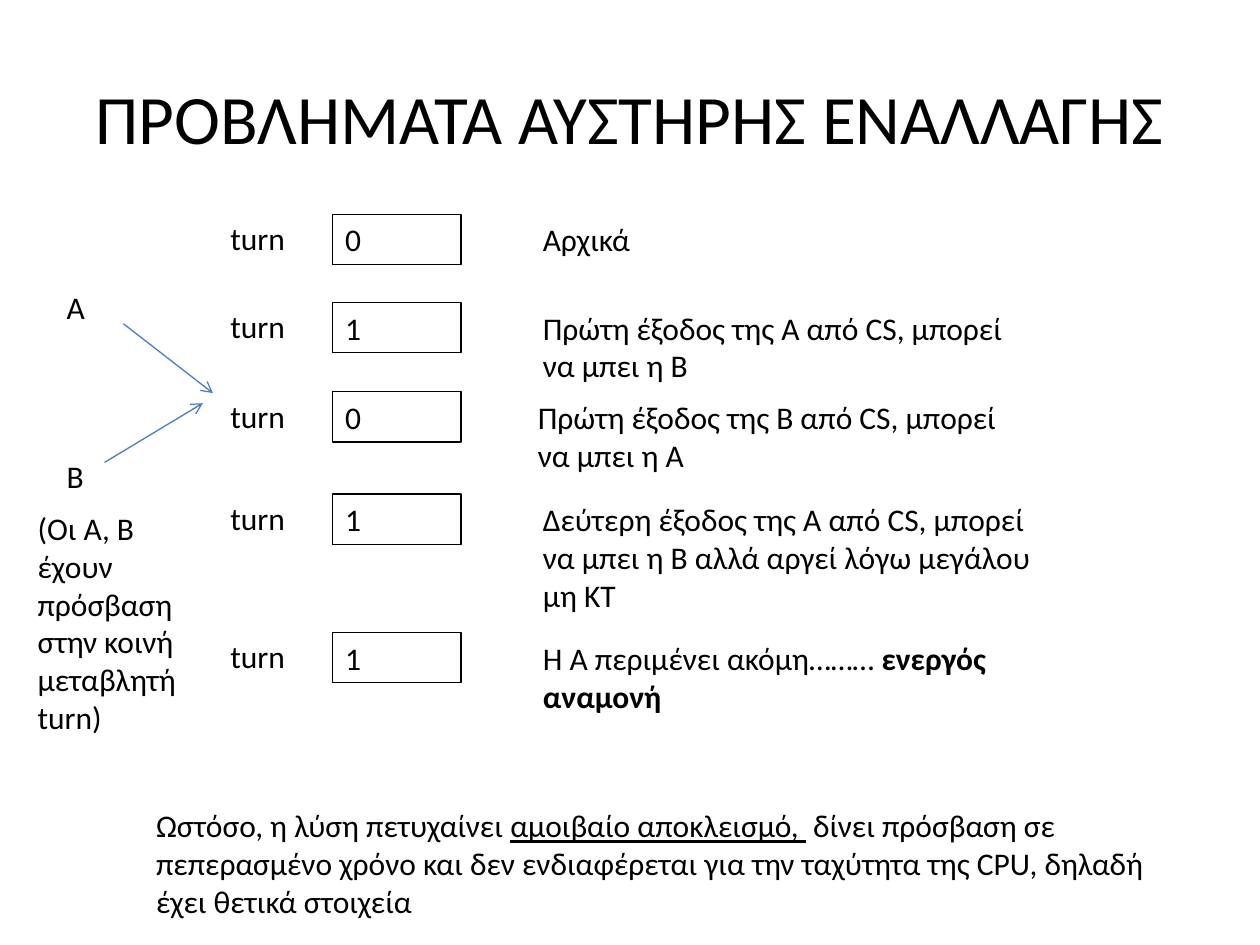
from lxml import etree
from pptx import Presentation
from pptx.dml.color import RGBColor
from pptx.enum.shapes import MSO_CONNECTOR
from pptx.enum.text import MSO_ANCHOR, MSO_AUTO_SIZE, PP_ALIGN
from pptx.oxml.ns import qn
from pptx.util import Inches, Pt

STRAIGHT = MSO_CONNECTOR.STRAIGHT
MIDDLE = MSO_ANCHOR.MIDDLE
CENTER = PP_ALIGN.CENTER
GROW = MSO_AUTO_SIZE.SHAPE_TO_FIT_TEXT

BLACK = RGBColor(0x00, 0x00, 0x00)
BLUE = RGBColor(0x4B, 0x7E, 0xBC)
FONT = "Calibri"
LINE_HEIGHT = 0.4

# Top, value of turn, description (left, width, height, plain text, bold text)
STEPS = [
    (1.70, "0", 4.21, 2.2, 0.4, "Αρχικά", ""),
    (2.40, "1", 4.21, 4.09, 0.71,
     "Πρώτη έξοδος της Α από CS, μπορεί να μπει η Β", ""),
    (3.11, "0", 4.17, 4.09, 0.71,
     "Πρώτη έξοδος της Β από CS, μπορεί να μπει η Α", ""),
    (3.92, "1", 4.21, 4.09, 1.01,
     "Δεύτερη έξοδος της Α από CS, μπορεί να μπει η Β αλλά αργεί λόγω "
     "μεγάλου μη ΚΤ", ""),
    (5.02, "1", 4.21, 4.09, 0.71,
     "Η Α περιμένει ακόμη……… ", "ενεργός αναμονή"),
]


def style_paragraph(para, size):
    para.font.name = FONT
    para.font.size = Pt(size)
    para.font.color.rgb = BLACK


def add_title(page, text):
    title = page.shapes.title
    title.left, title.top = Inches(0.5), Inches(0.3)
    title.width, title.height = Inches(9), Inches(1.25)
    title.text_frame.text = text
    title.text_frame.vertical_anchor = MIDDLE
    para = title.text_frame.paragraphs[0]
    para.alignment = CENTER
    style_paragraph(para, 39.6)


def add_text(page, left, top, width, height, *texts):
    """Add a wrapped text box with one run per text."""
    box = page.shapes.add_textbox(
        Inches(left), Inches(top), Inches(width), Inches(height))
    box.text_frame.word_wrap = True
    box.text_frame.auto_size = GROW
    para = box.text_frame.paragraphs[0]
    style_paragraph(para, 18)
    for text in texts:
        para.add_run().text = text
    return box


def add_step(page, top, value, left, width, height, plain, bold):
    """Add one state of the turn variable with its description."""
    cell = add_text(page, 2.64, top, 1.02, LINE_HEIGHT, value)
    cell.line.color.rgb = BLACK
    cell.line.width = Pt(0.75)
    add_text(page, 1.73, top - 0.01, 0.75, LINE_HEIGHT, "turn")
    texts = [plain, bold] if bold else [plain]
    description = add_text(page, left, top, width, height, *texts)
    if bold:
        description.text_frame.paragraphs[0].runs[1].font.bold = True


def add_arrow(page, start, end):
    arrow = page.shapes.add_connector(
        STRAIGHT, *(Inches(value) for value in (*start, *end)))
    arrow.line.color.rgb = BLUE
    arrow.line.width = Pt(0.75)
    etree.SubElement(arrow.line._get_or_add_ln(), qn("a:tailEnd"), type="arrow")
    etree.SubElement(arrow._element.spPr, qn("a:effectLst"))


def main():
    deck = Presentation()
    deck.slide_width, deck.slide_height = Inches(10), Inches(7.5)
    page = deck.slides.add_slide(deck.slide_layouts[5])
    add_title(page, "ΠΡΟΒΛΗΜΑΤΑ ΑΥΣΤΗΡΗΣ ΕΝΑΛΛΑΓΗΣ")

    # Successive values of the shared variable
    for step in STEPS:
        add_step(page, *step)

    # Processes pointing at the shared variable
    add_text(page, 0.43, 2.24, 0.75, LINE_HEIGHT, "Α")
    add_text(page, 0.43, 3.58, 0.75, LINE_HEIGHT, "Β")
    add_arrow(page, (0.98, 2.57), (1.69, 3.12))
    add_arrow(page, (0.83, 3.67), (1.61, 3.2))
    add_text(page, 0.2, 3.99, 1.57, 1.92,
             "(Οι Α, Β έχουν πρόσβαση στην κοινή μεταβλητή turn)")

    # Conclusion
    conclusion = add_text(
        page, 1.14, 6.35, 8.11, 1.01,
        "Ωστόσο, η λύση πετυχαίνει ",
        "αμοιβαίο αποκλεισμό, ",
        " δίνει πρόσβαση σε πεπερασμένο χρόνο και δεν ενδιαφέρεται για την "
        "ταχύτητα της CPU, δηλαδή έχει θετικά στοιχεία")
    conclusion.text_frame.paragraphs[0].runs[1].font.underline = True

    deck.save("out.pptx")


if __name__ == "__main__":
    main()
